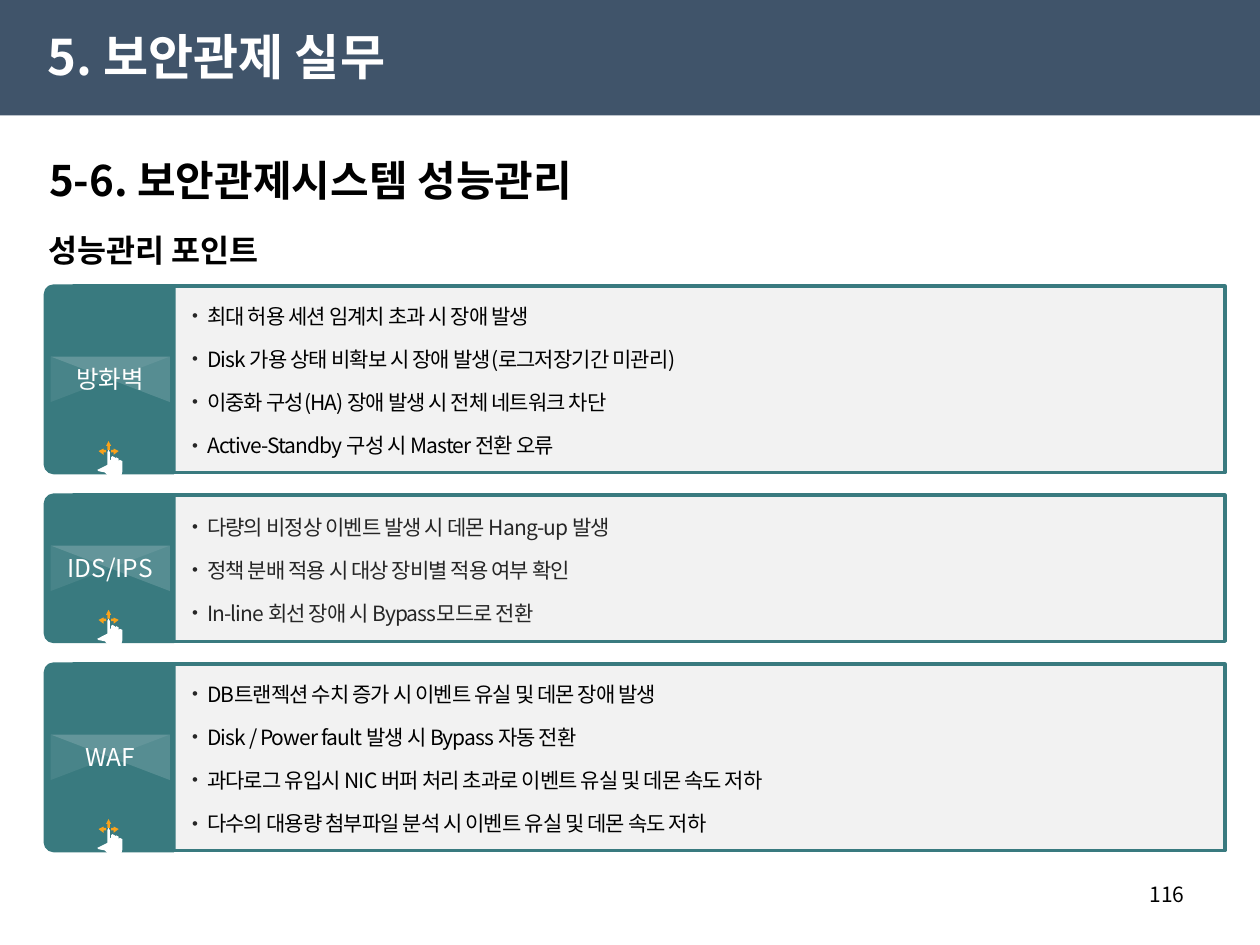
from lxml import etree
from pptx import Presentation
from pptx.dml.color import RGBColor
from pptx.enum.shapes import MSO_SHAPE
from pptx.enum.text import MSO_ANCHOR, MSO_AUTO_SIZE, PP_ALIGN
from pptx.oxml.ns import qn
from pptx.util import Pt

RECT, ROUND_TOP = MSO_SHAPE.RECTANGLE, MSO_SHAPE.ROUND_2_SAME_RECTANGLE
TOP, MIDDLE = MSO_ANCHOR.TOP, MSO_ANCHOR.MIDDLE
LEFT, CENTER, RIGHT = PP_ALIGN.LEFT, PP_ALIGN.CENTER, PP_ALIGN.RIGHT
NO_AUTOFIT = MSO_AUTO_SIZE.NONE

FONT = "Noto Sans CJK KR"
NAVY = RGBColor(0x40, 0x54, 0x6A)
TEAL = RGBColor(0x39, 0x7A, 0x7F)
PALE = RGBColor(0xF2, 0xF2, 0xF2)
ORANGE = RGBColor(0xFA, 0xA2, 0x1A)
WHITE = RGBColor(0xFF, 0xFF, 0xFF)
BLACK = RGBColor(0x00, 0x00, 0x00)
CHARCOAL = RGBColor(0x26, 0x26, 0x26)

# Panels: label, text colour, height, points
PANELS = [
    ("방화벽", BLACK, 106.5, [
        "최대 허용 세션 임계치 초과 시 장애 발생",
        "Disk 가용 상태 비확보 시 장애 발생(로그저장기간 미관리)",
        "이중화 구성(HA) 장애 발생 시 전체 네트워크 차단",
        "Active-Standby 구성 시 Master 전환 오류",
    ]),
    ("IDS/IPS", CHARCOAL, 83.5, [
        "다량의 비정상 이벤트 발생 시 데몬 Hang-up 발생",
        "정책 분배 적용 시 대상 장비별 적용 여부 확인",
        "In-line 회선 장애 시 Bypass모드로 전환",
    ]),
    ("WAF", BLACK, 106.5, [
        "DB트랜젝션 수치 증가 시 이벤트 유실 및 데몬 장애 발생",
        "Disk / Power fault 발생 시 Bypass 자동 전환",
        "과다로그 유입시 NIC 버퍼 처리 초과로 이벤트 유실 및 데몬 속도 저하",
        "다수의 대용량 첨부파일 분석 시 이벤트 유실 및 데몬 속도 저하",
    ]),
]
PANEL_LEFT, PANEL_TOP, PANEL_WIDTH, PANEL_GAP = 26, 163.5, 674, 13

# Hand icon outlines, on a grid of 0.72 pt
ICON_UNIT = 0.72
ICON = [
    (ORANGE, [(5, 11), (5, 9), (7, 9), (7, 7), (5, 7), (5, 6), (1, 8)]),
    (ORANGE, [(11, 9), (13, 9), (13, 11), (17, 8), (13, 6), (13, 7), (11, 7)]),
    (ORANGE, [(8, 7), (10, 7), (10, 4), (11, 4), (9, 0), (7, 4), (8, 4)]),
    (WHITE, [(20, 20), (20, 16), (18, 15), (17, 16), (17, 14), (15, 13), (14, 14),
             (14, 13), (12, 12), (11, 13), (11, 15), (10, 15), (10, 9), (9, 7),
             (8, 9), (8, 19), (4, 21), (0, 23), (1, 24), (6, 25), (9, 28),
             (9, 33), (19, 33), (19, 28), (20, 24)]),
]


def paint(shape, fill, line=None, opacity=None):
    shape.shadow.inherit = False
    shape.fill.solid()
    shape.fill.fore_color.rgb = fill
    if line is None:
        shape.line.fill.background()
    else:
        shape.line.color.rgb = line
        shape.line.width = Pt(2)
    if opacity is not None:
        color = shape.fill._xPr.find(qn("a:solidFill"))[0]
        etree.SubElement(color, qn("a:alpha"), val=str(opacity * 1000))


def add_block(slide, kind, box, fill, line=None):
    block = slide.shapes.add_shape(kind, *map(Pt, box))
    paint(block, fill, line)
    return block


def add_outline(slide, points, left, top, fill, unit=1, opacity=None):
    builder = slide.shapes.build_freeform(*points[0], scale=Pt(unit))
    builder.add_line_segments(points[1:], close=True)
    paint(builder.convert_to_shape(Pt(left), Pt(top)), fill, opacity=opacity)


def add_bullet(paragraph):
    properties = paragraph._p.get_or_add_pPr()
    properties.set("marL", str(Pt(8.6)))
    properties.set("indent", str(-Pt(8.6)))
    color = etree.SubElement(properties, qn("a:buClr"))
    etree.SubElement(color, qn("a:srgbClr"), val=str(CHARCOAL))
    etree.SubElement(properties, qn("a:buSzPct"), val="80000")
    etree.SubElement(properties, qn("a:buFont"), typeface="Arial")
    etree.SubElement(properties, qn("a:buChar"), char="•")


def write(holder, box, text, size, color, bold=False, align=LEFT, anchor=MIDDLE,
          bulleted=False):
    holder.left, holder.top, holder.width, holder.height = map(Pt, box)
    frame = holder.text_frame
    frame.text = text
    frame.word_wrap = True
    frame.auto_size = NO_AUTOFIT
    frame.vertical_anchor = anchor
    for paragraph in frame.paragraphs:
        if bulleted:
            add_bullet(paragraph)
            paragraph.line_spacing = 1.5
            paragraph.space_after = Pt(3)
        paragraph.space_before = Pt(0)
        paragraph.alignment = align
        for run in paragraph.runs:
            run.font.name = FONT
            run.font.size = Pt(size)
            run.font.bold = bold
            run.font.color.rgb = color
            properties = run._r.get_or_add_rPr()
            etree.SubElement(properties, qn("a:ea"), typeface=FONT)
            if bulleted:
                properties.set("spc", "-50")


def add_label(slide, *args, **formatting):
    write(slide.shapes.add_textbox(0, 0, 0, 0), *args, **formatting)


def bring_to_front(slide, holder):
    slide.shapes._spTree.append(holder._element)


def add_header(slide, left, top, width, height):
    add_block(slide, RECT, (left, top, width, height), NAVY)
    title = slide.shapes.title
    bring_to_front(slide, title)
    write(title, (left + 20.2, top + 9.4, 340, 45.4), "5. 보안관제 실무", 28, WHITE, bold=True)


def add_headings(slide, section, left, top, width):
    write(section, (left, top, width, 39.6), "5-6. 보안관제시스템 성능관리", 24, BLACK,
          bold=True)
    add_label(slide, (left, top + 45.4, width, 28.8), "성능관리 포인트", 18, BLACK,
              bold=True, anchor=TOP)


def add_panel(slide, bullets, left, top, width, height, label, color, points):
    middle = top + height / 2
    tab_width = 73.4

    # Pale body, and teal tab turned so that its round corners face left
    add_block(slide, RECT, (left + 16, top, width - 16, height), PALE, TEAL)
    tab_box = (left + (tab_width - height) / 2, middle - tab_width / 2, height, tab_width)
    tab = add_block(slide, ROUND_TOP, tab_box, TEAL, TEAL)
    tab.adjustments[0] = 0.062
    tab.rotation = 270

    # Points
    bring_to_front(slide, bullets)
    write(bullets, (left + 76.6, top - 2.8, 394.6, height), "\n".join(points), 12, color,
          bulleted=True)

    # Label over two translucent triangles
    add_label(slide, (left - 3, middle - 12.2, 80, 24.4), label, 14, WHITE,
              align=CENTER, anchor=TOP)
    band_width, band_height = 67.5, 26
    for low_corner, opacity in ((band_width, 15), (0, 8)):
        triangle = [(0, 0), (low_corner, band_height), (band_width, 0)]
        add_outline(slide, triangle, left + 3, middle - band_height / 2, WHITE,
                    opacity=opacity)

    # Hand icon
    for fill, outline in ICON:
        add_outline(slide, outline, left + 29.6, top + height - 18, fill, ICON_UNIT)


def main():
    presentation = Presentation()
    presentation.slide_width, presentation.slide_height = Pt(720), Pt(540)
    slide = presentation.slides.add_slide(presentation.slide_layouts[4])
    section, *lists = [p for p in slide.placeholders if p.placeholder_format.idx in range(1, 5)]

    add_header(slide, 0, 0, 720, 66)
    add_headings(slide, section, 20.8, 82.8, 679)
    top = PANEL_TOP
    for bullets, (label, color, height, points) in zip(lists, PANELS):
        add_panel(slide, bullets, PANEL_LEFT, top, PANEL_WIDTH, height, label, color, points)
        top += height + PANEL_GAP

    # Page number
    add_label(slide, (516.2, 500.4, 167.8, 28.8), "116", 12, BLACK, align=RIGHT, anchor=TOP)
    presentation.save("out.pptx")


if __name__ == "__main__":
    main()
